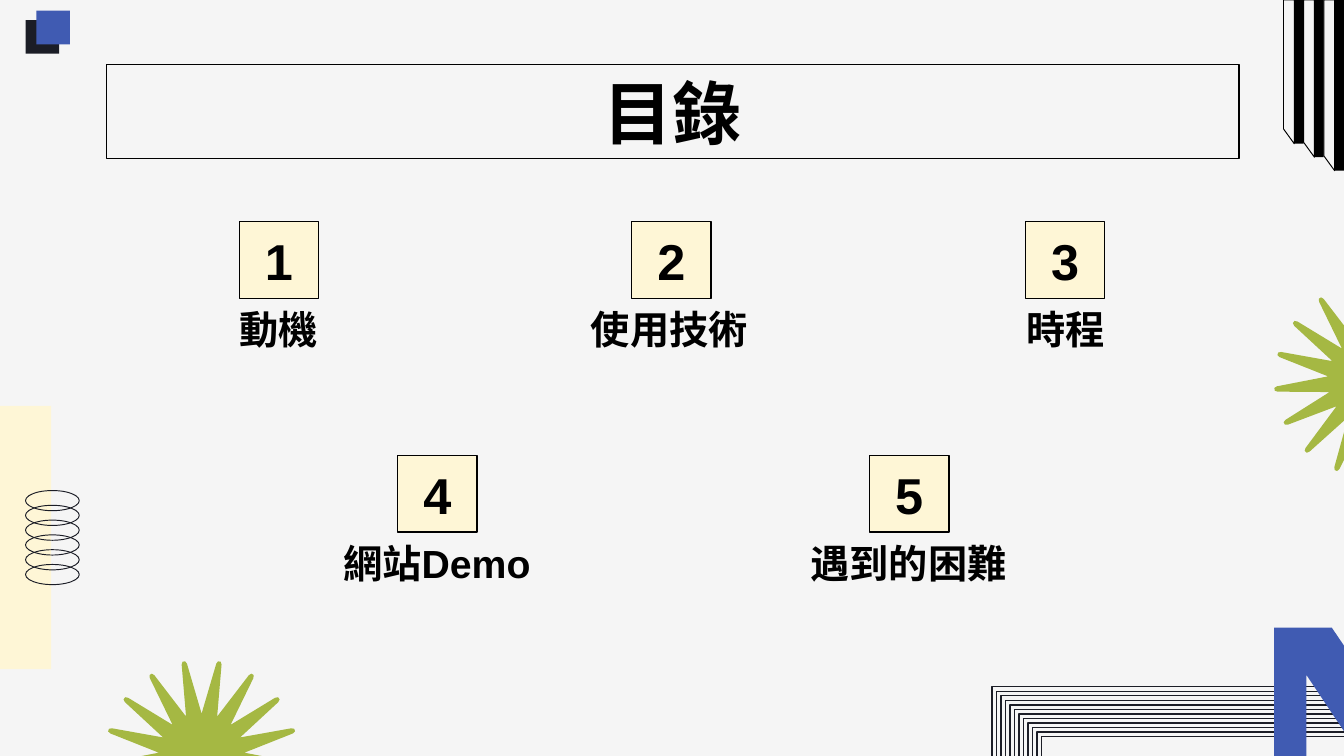
from dataclasses import dataclass
from math import cos, pi, sin

from pptx import Presentation
from pptx import util as u
from pptx.dml.color import RGBColor
from pptx.enum import shapes, text


@dataclass(frozen=True)
class Theme:
    paper: str = "F5F5F5"
    cream: str = "FEF6D6"
    ink: str = "1B1D26"
    black: str = "000000"
    blue: str = "405BB2"
    green: str = "A5B843"
    font: str = "Arial"
    title_size: int = 37
    number_size: int = 27
    label_size: int = 21
    line: float = 0.75
    hairline: float = 0.5


@dataclass(frozen=True)
class Box:
    left: float
    top: float
    width: float
    height: float

    def lengths(self) -> list:
        return [u.Inches(v) for v in (self.left, self.top, self.width, self.height)]


@dataclass(frozen=True)
class Topic:
    number: int
    label: str
    left: float
    top: float
    label_left: float


THEME = Theme()
TOPICS = (
    Topic(1, "動機", 1.78, 1.65, 0.81),
    Topic(2, "使用技術", 4.7, 1.65, 3.72),
    Topic(3, "時程", 7.63, 1.65, 6.67),
    Topic(4, "網站Demo", 2.96, 3.39, 1.99),
    Topic(5, "遇到的困難", 6.47, 3.39, 5.5),
)
SPIKES = 17
FRAMES = 12
RINGS = 6


def paint(shape, fill: str = "", line: str = "", weight: float = THEME.line) -> None:
    if fill:
        shape.fill.solid()
        shape.fill.fore_color.rgb = RGBColor.from_string(fill)
    else:
        shape.fill.background()
    if line:
        shape.line.color.rgb = RGBColor.from_string(line)
        shape.line.width = u.Pt(weight)
    else:
        shape.line.fill.background()
    shape.shadow.inherit = False


def draw_preset(page, kind, box: Box, **look):
    shape = page.shapes.add_shape(kind, *box.lengths())
    paint(shape, **look)
    return shape


def draw_outline(page, points: list, closed: bool = True, **look) -> None:
    corners = [(u.Inches(x), u.Inches(y)) for x, y in points]
    builder = page.shapes.build_freeform(*corners[0], scale=1.0)
    builder.add_line_segments(corners[1:], close=closed)
    paint(builder.convert_to_shape(), **look)


def write(shape, words: str, size: int, anchor) -> None:
    frame = shape.text_frame
    margin = u.Inches(0.1)
    frame_format = {
        "word_wrap": True,
        "auto_size": text.MSO_AUTO_SIZE.NONE,
        "vertical_anchor": anchor,
        "margin_left": margin,
        "margin_top": margin,
        "margin_right": margin,
        "margin_bottom": margin,
    }
    for name, value in frame_format.items():
        setattr(frame, name, value)
    para = frame.paragraphs[0]
    para.alignment = text.PP_ALIGN.CENTER
    span = para.add_run()
    span.text = words
    for name, value in {"name": THEME.font, "size": u.Pt(size), "bold": True}.items():
        setattr(span.font, name, value)
    span.font.color.rgb = RGBColor.from_string(THEME.black)


def draw_frames(page) -> None:
    for index in reversed(range(FRAMES)):
        shift = index * 0.37 / (FRAMES - 1)
        left, top = 7.38 + shift, 5.11 + shift
        draw_outline(page, [(10.17, top), (left, top), (left, 5.79)],
                     closed=False, line=THEME.ink)


def draw_rings(page) -> None:
    for index in range(RINGS):
        draw_preset(page, shapes.MSO_SHAPE.OVAL, Box(0.19, 3.65 + index * 0.11, 0.4, 0.15),
                    line=THEME.ink, weight=THEME.hairline)


def draw_burst(page, x: float, y: float) -> None:
    half = pi / SPIKES
    tip = ((-0.02, 0.7), (-0.01, 0.72), (0.01, 0.72), (0.02, 0.7))
    points = []
    for index in range(SPIKES):
        valley = 2 * half * index
        points.append((x + 0.32 * sin(valley), y - 0.32 * cos(valley)))
        angle = valley + half
        points += [(x + reach * sin(angle) + side * cos(angle),
                    y - reach * cos(angle) + side * sin(angle)) for side, reach in tip]
    draw_outline(page, points, fill=THEME.green)


def draw_slats(page) -> None:
    for index in range(3):
        left, short = 9.55 + index * 0.15, 0.96 + index * 0.1
        middle, tall = left + 0.08, short + 0.11
        draw_outline(page, [(left, 0), (middle, 0), (middle, tall), (left, short)],
                     line=THEME.black, weight=THEME.hairline)
        draw_preset(page, shapes.MSO_SHAPE.RECTANGLE, Box(middle, 0, 0.07, tall),
                    fill=THEME.black)


def draw_decoration(page) -> None:
    rectangle = shapes.MSO_SHAPE.RECTANGLE
    draw_frames(page)
    draw_preset(page, rectangle, Box(0, 3.02, 0.38, 1.96), fill=THEME.cream)
    draw_rings(page)
    draw_burst(page, 1.5, 5.63)
    draw_preset(page, rectangle, Box(0.19, 0.15, 0.25, 0.25), fill=THEME.ink)
    draw_preset(page, rectangle, Box(0.27, 0.08, 0.25, 0.25), fill=THEME.blue)
    letter = [(10.14, 5.65), (9.72, 5.02), (9.72, 5.83), (9.48, 5.92),
              (9.48, 4.67), (9.91, 4.67), (10.14, 5.01)]
    draw_outline(page, letter, fill=THEME.blue)
    draw_burst(page, 10.2, 2.83)
    draw_slats(page)


def draw_title(page, words: str) -> None:
    title = page.shapes.title
    title.left, title.top, title.width, title.height = Box(0.79, 0.48, 8.43, 0.7).lengths()
    paint(title, line=THEME.black)
    write(title, words, THEME.title_size, text.MSO_ANCHOR.MIDDLE)


def draw_topic(page, topic: Topic) -> None:
    tile = draw_preset(page, shapes.MSO_SHAPE.RECTANGLE,
                       Box(topic.left, topic.top, 0.59, 0.57),
                       fill=THEME.cream, line=THEME.black)
    write(tile, str(topic.number), THEME.number_size, text.MSO_ANCHOR.MIDDLE)
    label = Box(topic.label_left, topic.top + 0.66, 2.52, 0.41)
    write(page.shapes.add_textbox(*label.lengths()), topic.label,
          THEME.label_size, text.MSO_ANCHOR.BOTTOM)


def main() -> None:
    deck = Presentation()
    deck.slide_width = u.Inches(10)
    deck.slide_height = u.Inches(10 * 9 / 16)
    page = deck.slides.add_slide(deck.slide_layouts.get_by_name("Title Only"))
    page.background.fill.solid()
    page.background.fill.fore_color.rgb = RGBColor.from_string(THEME.paper)
    draw_decoration(page)
    draw_title(page, "目錄")
    for topic in TOPICS:
        draw_topic(page, topic)
    deck.save("out.pptx")


if __name__ == "__main__":
    main()
